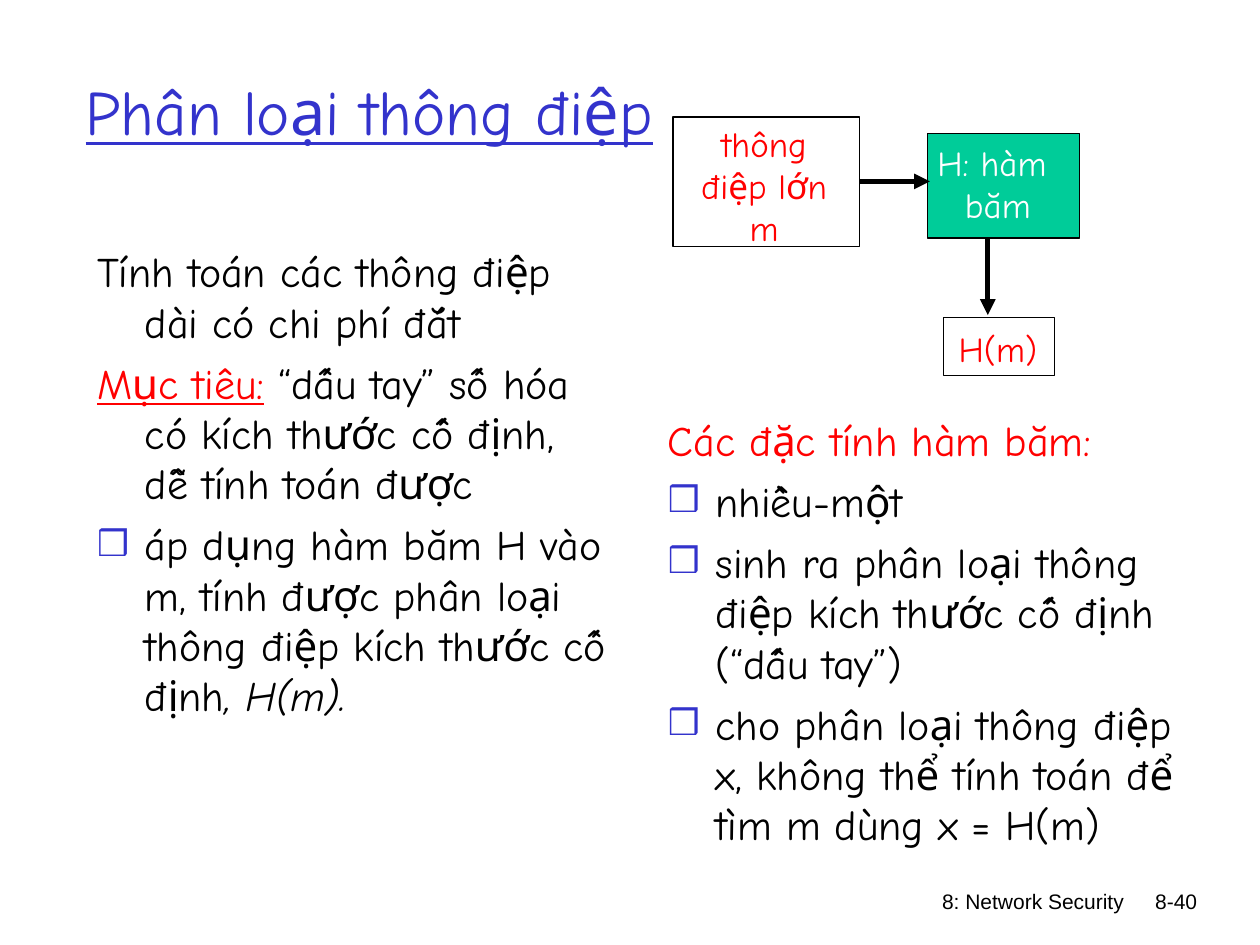
"""Build the message digest slide with its hash function diagram."""
from dataclasses import dataclass

from lxml.etree import SubElement
from pptx import Presentation
from pptx.dml.color import RGBColor
from pptx.enum.shapes import MSO_CONNECTOR as Connector, MSO_SHAPE as Shape
from pptx.enum.text import MSO_ANCHOR as Anchor, MSO_AUTO_SIZE as AutoSize, PP_ALIGN as Align
from pptx.oxml.ns import qn
from pptx.util import Inches, Pt


@dataclass(frozen=True)
class Theme:
    hand: str = "Comic Neue"
    plain: str = "Arial"
    blue: RGBColor = RGBColor(0x33, 0x33, 0xCC)
    red: RGBColor = RGBColor(0xFF, 0, 0)
    green: RGBColor = RGBColor(0, 0xCC, 0x99)
    black: RGBColor = RGBColor(0, 0, 0)
    white: RGBColor = RGBColor(0xFF, 0xFF, 0xFF)
    title: int = 36
    body: int = 24
    label: int = 20
    footer: int = 12


theme = Theme()


def style(font, size, color, name=theme.hand):
    font.name, font.size = name, Pt(size)
    font.color.rgb = color


def set_bullet(paragraph, bulleted):
    properties = paragraph._p.get_or_add_pPr()
    properties.set("marL", str(Inches(0.38)))
    properties.set("indent", str(Inches(-0.38)))
    if bulleted:
        bullet_color = SubElement(properties, qn("a:buClr"))
        SubElement(bullet_color, qn("a:srgbClr"), val=str(theme.blue))
        SubElement(properties, qn("a:buSzPct"), val="85000")
        SubElement(properties, qn("a:buChar"), char="❒")
    else:
        SubElement(properties, qn("a:buNone"))


deck = Presentation()
deck.slide_width, deck.slide_height = Inches(10), Inches(7.5)
slide = deck.slides.add_slide(deck.slide_layouts[3])
title, goals, traits = slide.placeholders

footers = [
    ("8: Network Security", 5.85, 3.17, 0.5),
    ("8-40", 8.8, 0.8, 0.32),
]
for text, left, width, height in footers:
    footer = slide.shapes.add_textbox(Inches(left), Inches(7), Inches(width), Inches(height))
    footer.text_frame.word_wrap = True
    line = footer.text_frame.paragraphs[0]
    line.text, line.alignment = text, Align.RIGHT
    style(line.font, theme.footer, theme.black, theme.plain)

title.left, title.top, title.width, title.height = map(Inches, (0.58, 0.25, 8.5, 1.25))
title.text_frame.auto_size = AutoSize.NONE
title.text_frame.vertical_anchor = Anchor.MIDDLE
heading = title.text_frame.paragraphs[0]
heading.text, heading.alignment = "Phân loại thông điệp", Align.LEFT
style(heading.font, theme.title, theme.blue)
heading.font.underline = True

columns = [
    (goals, (0.67, 1.9, 4.25, 5.11), [
        (False, theme.black, ["Tính toán các thông điệp dài có chi phí đắt"]),
        (False, theme.black, ["Mục tiêu:", " “dấu tay” số hóa có kích thước cố định, dễ tính toán được"]),
        (True, theme.black, [
            "áp dụng hàm băm H vào m, tính được phân loại thông điệp kích thước cố định",
            ", H(m).",
        ]),
    ]),
    (traits, (5.2, 3.24, 4.42, 3.79), [
        (False, theme.red, ["Các đặc tính hàm băm:"]),
        (True, theme.black, ["nhiều-một"]),
        (True, theme.black, ["sinh ra phân loại thông điệp kích thước cố định (“dấu tay”)"]),
        (True, theme.black, ["cho phân loại thông điệp x, không thể tính toán để tìm m dùng x = H(m)"]),
    ]),
]
for column, place, points in columns:
    column.left, column.top, column.width, column.height = map(Inches, place)
    frame = column.text_frame
    frame.auto_size = AutoSize.NONE
    for number, (bulleted, color, parts) in enumerate(points):
        point = frame.add_paragraph() if number else frame.paragraphs[0]
        point.space_before = Pt(6 if number else 0)
        set_bullet(point, bulleted)
        style(point.font, theme.body, color)
        for part in parts:
            point.add_run().text = part

goal_label = goals.text_frame.paragraphs[1].runs[0].font
goal_label.color.rgb, goal_label.underline = theme.red, True
goals.text_frame.paragraphs[2].runs[1].font.italic = True

stages = [
    ((5.34, 0.93, 1.48, 1.03), theme.white,
     (5.33, 0.92, 1.47, 1.1), ["thông điệp lớn", "m"], theme.red, True),
    ((7.36, 1.06, 1.21, 0.83), theme.green,
     (7.34, 1.07, 1.16, 0.77), ["H: hàm ", "băm"], theme.white, False),
    ((7.49, 2.52, 0.88, 0.46), theme.white,
     (7.43, 2.55, 0.98, 0.44), ["H(m)"], theme.red, True),
]
for box_place, fill, label_place, lines, color, wraps in stages:
    box = slide.shapes.add_shape(Shape.RECTANGLE, *map(Inches, box_place))
    box.shadow.inherit = False
    box.fill.solid()
    box.fill.fore_color.rgb = fill
    box.line.color.rgb, box.line.width = theme.black, Pt(0.75)

    label = slide.shapes.add_textbox(*map(Inches, label_place)).text_frame
    label.word_wrap, label.auto_size = wraps, AutoSize.SHAPE_TO_FIT_TEXT
    label.text = "\n".join(lines)
    for line in label.paragraphs:
        line.alignment = Align.CENTER
        style(line.font, theme.label, color)

for ends in [(6.82, 1.44, 7.38, 1.44), (7.84, 1.9, 7.84, 2.5)]:
    arrow = slide.shapes.add_connector(Connector.STRAIGHT, *map(Inches, ends))
    arrow.line.color.rgb, arrow.line.width = theme.black, Pt(3)
    SubElement(arrow.line._get_or_add_ln(), qn("a:tailEnd"), type="triangle")
    SubElement(arrow._element.spPr, qn("a:effectLst"))

deck.save("out.pptx")
